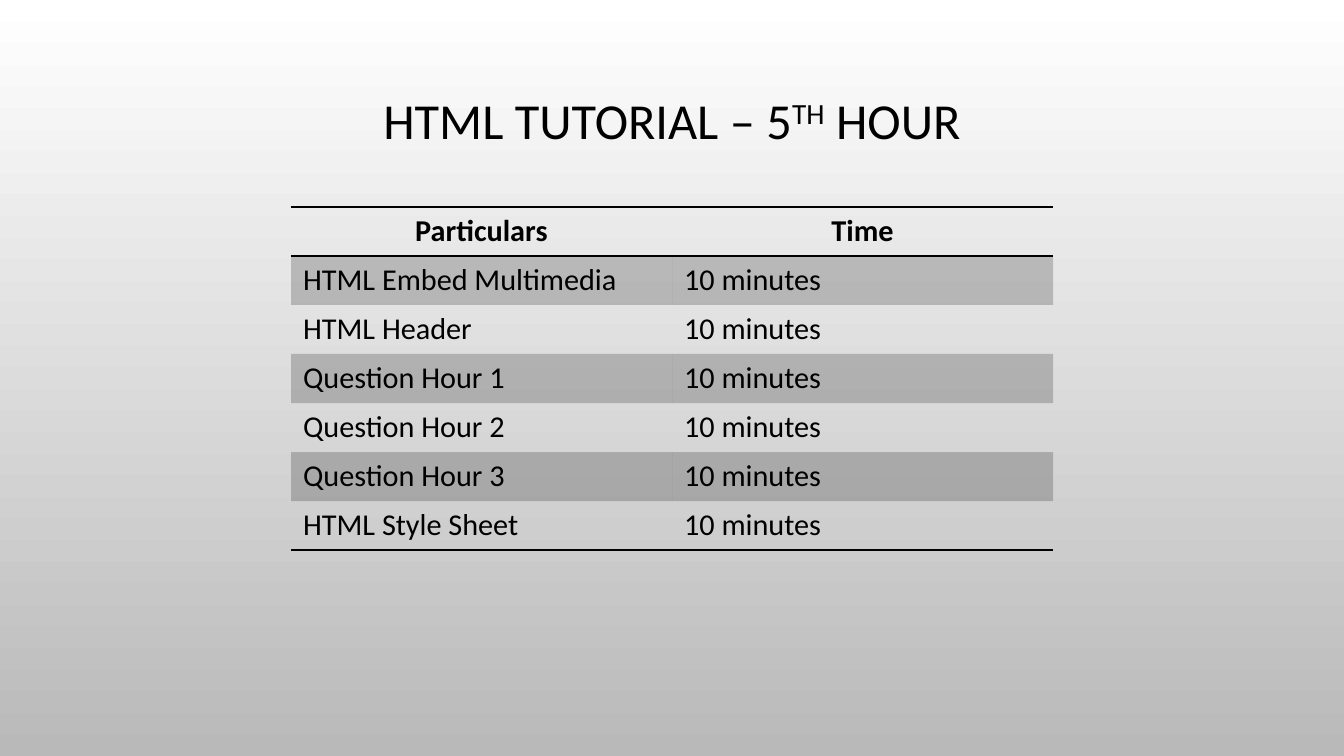
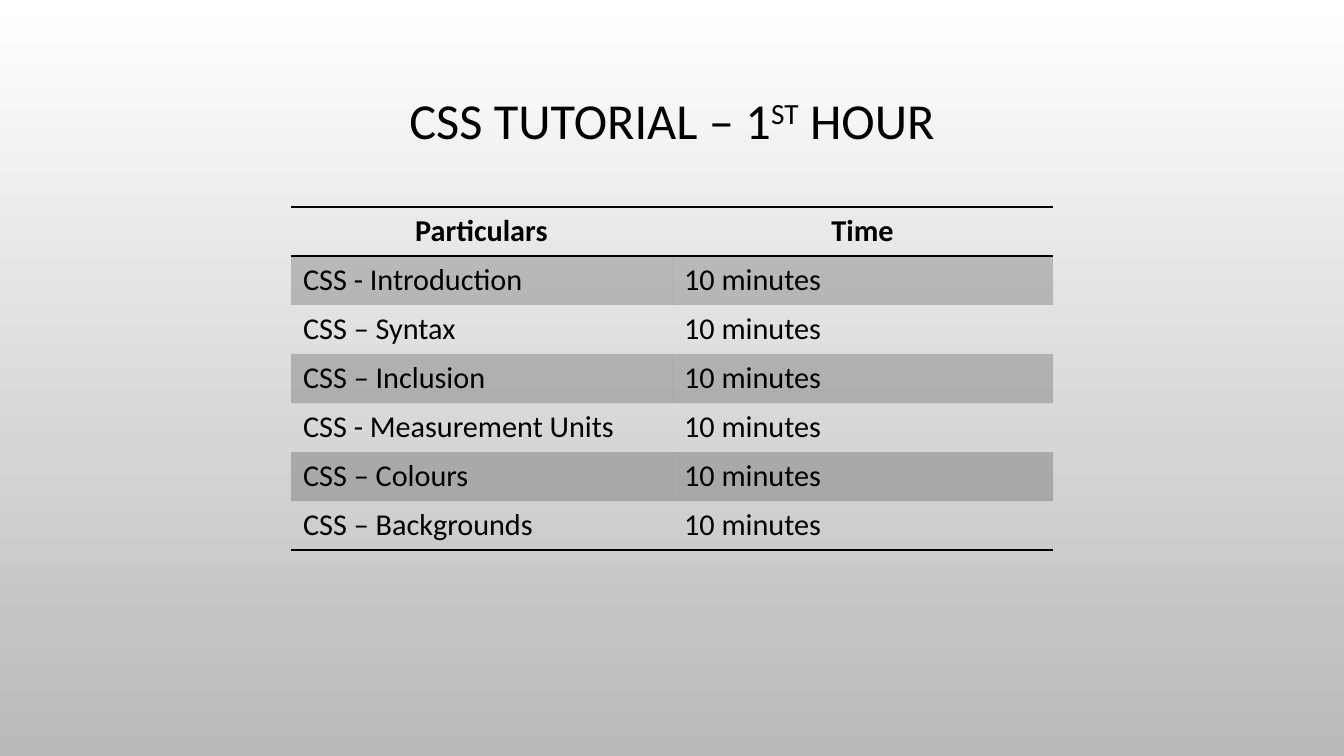
import pptx
import pptx.dml.color
import pptx.enum.text
import pptx.oxml
import pptx.oxml.ns
import pptx.util

Pt = pptx.util.Pt
Align = pptx.enum.text.PP_ALIGN
Middle = pptx.enum.text.MSO_ANCHOR.MIDDLE
NS = pptx.oxml.ns.nsdecls("a")

INK, TOP, BASE = "000000", "FFFFFF", "B9B9B9"
HEAD = ("Particulars", "Time")
SPAN = "10 minutes"


def color(code):
    return pptx.dml.color.RGBColor.from_string(code)


def style(font, **extra):
    """Apply the shared font values, plus any extra ones."""
    font.color.rgb = color(INK)
    for name, value in {"name": "Calibri", "bold": False, **extra}.items():
        setattr(font, name, value)


class Deck:
    def __init__(self):
        self.file = pptx.Presentation()
        self.file.slide_width = pptx.util.Inches(11.11)
        self.file.slide_height = pptx.util.Inches(6.25)
        # Shared background, fading downwards
        fill = self.file.slide_master.background.fill
        fill.gradient()
        fill.gradient_angle = 270
        for stop, code in zip(fill.gradient_stops, (TOP, BASE)):
            stop.color.rgb = color(code)

    def wide(self, share):
        """Percent of the slide's width."""
        return round(self.file.slide_width * share / 100)

    def high(self, share):
        """Percent of the slide's height."""
        return round(self.file.slide_height * share / 100)

    def start(self):
        self.slide = self.file.slides.add_slide(self.file.slide_layouts[5])

    def title(self, parts):
        """Write the title; the second part is raised."""
        box = self.slide.shapes.title
        place = {"left": self.wide(7.5), "top": self.high(9),
                 "width": self.wide(85), "height": self.high(14.5)}
        for name, value in place.items():
            setattr(box, name, value)
        frame = box.text_frame
        frame.auto_size = pptx.enum.text.MSO_AUTO_SIZE.NONE
        frame.vertical_anchor = Middle
        para = frame.paragraphs[0]
        para.alignment = Align.CENTER
        para.line_spacing = 0.9
        for i, text in enumerate(parts):
            run = para.add_run()
            run.text = text
            style(run.font, size=Pt(30))
            if i == 1:
                run.font._element.set("baseline", "30000")

    def table(self, rows):
        """Draw a centred table with a bold head and shaded odd rows."""
        count, cols = len(rows), len(rows[0])
        width, height = self.wide(28.35), self.high(6.49)
        left = (self.file.slide_width - cols * width) // 2
        grid = self.slide.shapes.add_table(
            count, cols, left, self.high(27.36),
            cols * width, count * height).table
        grid.first_row = grid.horz_banding = False
        ruled = (0, 1, count)
        for r, row in enumerate(rows):
            for c, text in enumerate(row):
                cell = grid.cell(r, c)
                self.cell(cell, text, head=r == 0)
                self.shade(cell, r % 2 == 1)
                self.edges(cell, T=r in ruled, B=r + 1 in ruled)

    def cell(self, cell, text, head):
        cell.text = text
        para = cell.text_frame.paragraphs[0]
        para.alignment = Align.CENTER if head else Align.LEFT
        style(para.runs[0].font, size=Pt(18), bold=head)

    def shade(self, cell, dark):
        if not dark:
            cell.fill.background()
            return
        cell.fill.solid()
        cell.fill.fore_color.rgb = color(INK)
        tint = cell._tc.tcPr.find(".//" + pptx.oxml.ns.qn("a:srgbClr"))
        tint.append(pptx.oxml.parse_xml(f'<a:alpha {NS} val="20000"/>'))

    def edges(self, cell, **ruled):
        """Set all four borders; only the ruled ones show."""
        ink = f'<a:solidFill><a:srgbClr val="{INK}"/></a:solidFill>'
        for i, side in enumerate("LRTB"):
            fill = ink if ruled.get(side) else "<a:noFill/>"
            line = f'<a:ln{side} {NS} w="{Pt(1)}">{fill}</a:ln{side}>'
            cell._tc.tcPr.insert(i, pptx.oxml.parse_xml(line))


# Title parts and topics of each hour
HOURS = (
    (("HTML TUTORIAL – 5", "TH", " HOUR"),
     ("HTML Embed Multimedia", "HTML Header", "Question Hour 1",
      "Question Hour 2", "Question Hour 3", "HTML Style Sheet")),
    (("CSS TUTORIAL – 1", "ST", " HOUR"),
     ("CSS - Introduction", "CSS – Syntax", "CSS – Inclusion",
      "CSS - Measurement Units", "CSS – Colours", "CSS – Backgrounds")),
)


def main():
    deck = Deck()
    for parts, topics in HOURS:
        deck.start()
        deck.title(parts)
        deck.table([HEAD] + [(topic, SPAN) for topic in topics])
    deck.file.save("out.pptx")


if __name__ == "__main__":
    main()
